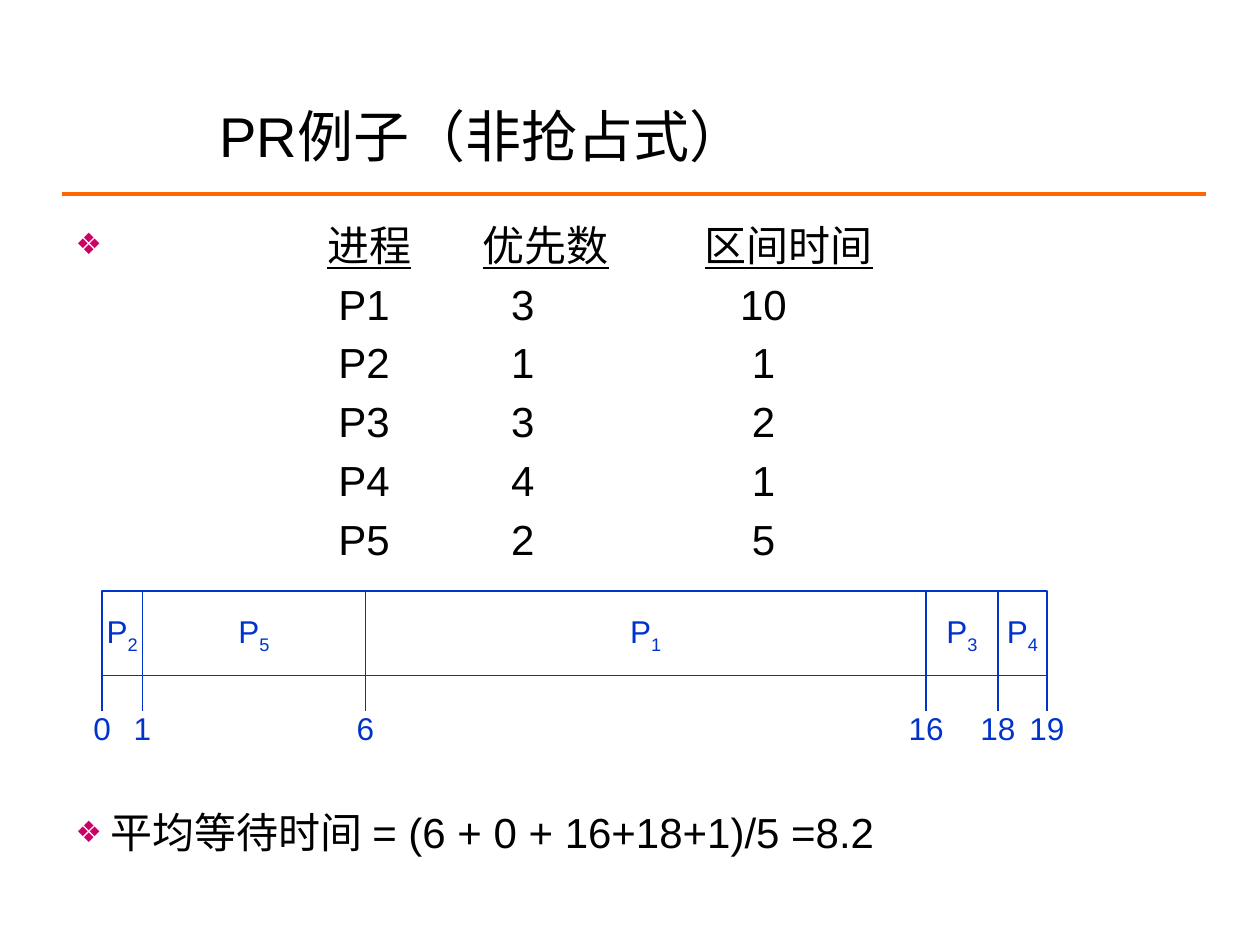
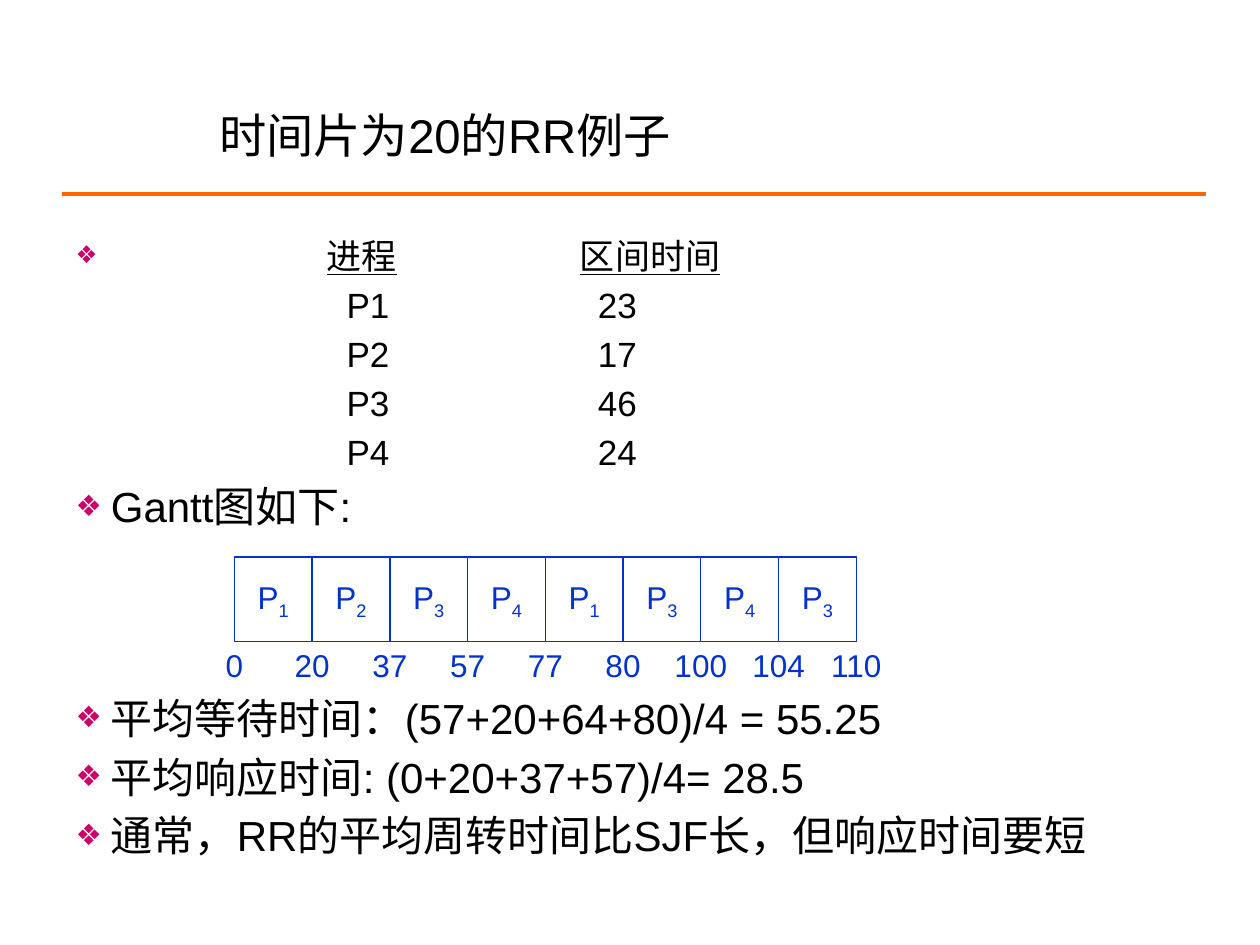
"""Build two slides on CPU scheduling: priority and round robin examples."""
from dataclasses import dataclass
from itertools import pairwise

from lxml.etree import SubElement
from pptx import Presentation
from pptx.dml.color import RGBColor
from pptx.enum.shapes import MSO_CONNECTOR, MSO_SHAPE
from pptx.enum.text import MSO_ANCHOR, MSO_AUTO_SIZE, PP_ALIGN
from pptx.oxml.ns import qn
from pptx.util import Emu, Inches, Pt


@dataclass(frozen=True)
class Theme:
    """Colours, font and type sizes shared by the slides."""
    ink: RGBColor = RGBColor(0, 0, 0)
    paper: RGBColor = RGBColor(255, 255, 255)
    rule: RGBColor = RGBColor(0xFF, 0x66, 0x00)
    gantt: RGBColor = RGBColor(0x00, 0x33, 0xCC)
    bullet: str = "CC0066"
    font: str = "Arial"
    text_size: int = 24
    gantt_size: int = 18
    thin: float = 0.75
    thick: float = 2.25


THEME = Theme()
COLUMNS, ROWS = 100, 75
UNIT = Inches(0.1)
BAR_HEIGHT = 6.7
LABEL_WIDTH, LABEL_HEIGHT = 8, 4
DIAMOND, BLANK = "❖", " "


def grid(*counts):
    """Turn counts of grid columns or rows into lengths."""
    return [Emu(round(count * UNIT)) for count in counts]


def format_runs(paragraph, size, color=THEME.ink):
    """Give every run of a paragraph the font, size and colour."""
    for run in paragraph.runs:
        run.font.name = THEME.font
        run.font.size = Pt(size)
        run.font.color.rgb = color


def add_line(slide, start, end, color, width):
    """Draw a straight line between two grid points."""
    line = slide.shapes.add_connector(MSO_CONNECTOR.STRAIGHT, *grid(*start, *end))
    line.line.color.rgb = color
    line.line.width = Pt(width)
    SubElement(line._element.spPr, qn("a:effectLst"))


def add_base_slide(deck, heading, heading_size, body_top, body_height):
    """Add a slide with title and rule, and return it with its body text."""
    slide = deck.slides.add_slide(deck.slide_layouts[1])
    title, body = slide.placeholders
    title.left, title.top, title.width, title.height = grid(16.4, 7.5, 72.6, 6.4)
    title.text_frame.text = heading
    title.text_frame.vertical_anchor = MSO_ANCHOR.MIDDLE
    title.text_frame.auto_size = MSO_AUTO_SIZE.NONE
    title.text_frame.paragraphs[0].alignment = PP_ALIGN.LEFT
    format_runs(title.text_frame.paragraphs[0], heading_size)
    body.left, body.top, body.width, body.height = grid(5, body_top, 90, body_height)
    body.text_frame.auto_size = MSO_AUTO_SIZE.NONE
    add_line(slide, (4.9, 15.4), (95.7, 15.4), THEME.rule, THEME.thick)
    return slide, body.text_frame


def set_layout(paragraph, hanging=0, bullet=DIAMOND, stops=()):
    """Set the indent, bullet and centred tab stops of a paragraph."""
    properties = paragraph._p.get_or_add_pPr()
    indent, = grid(hanging)
    properties.set("marL", str(indent))
    properties.set("indent", str(-indent))
    color = SubElement(properties, qn("a:buClr"))
    SubElement(color, qn("a:srgbClr"), val=THEME.bullet)
    SubElement(properties, qn("a:buSzPct"), val="70000")
    SubElement(properties, qn("a:buChar"), char=bullet)
    if stops:
        tabs = SubElement(properties, qn("a:tabLst"))
        for stop in grid(*stops):
            SubElement(tabs, qn("a:tab"), pos=str(stop), algn="ctr")


def add_process_list(body, headers, header_stops, processes, stops, size):
    """Write underlined headings and tabbed rows of process data."""
    heading = body.paragraphs[0]
    set_layout(heading, stops=header_stops)
    heading.space_before = Pt(0)
    for header in headers:
        heading.add_run().text = "\t"
        name = heading.add_run()
        name.text = header
        name.font.underline = True
    format_runs(heading, size)
    for process in processes:
        row = body.add_paragraph()
        set_layout(row, bullet=BLANK, stops=stops)
        row.text = "".join(f"\t{value}" for value in process)
        format_runs(row, size)


def add_bullet(body, text, gap=None):
    """Add a bulleted paragraph, with a gap in points above if given."""
    paragraph = body.add_paragraph()
    set_layout(paragraph, hanging=2.8)
    if gap:
        paragraph.space_before = Pt(gap)
    paragraph.text = text
    format_runs(paragraph, THEME.text_size)


def write_label(frame, text, subscript=""):
    """Write centred Gantt text with an optional subscript."""
    frame.word_wrap = False
    frame.vertical_anchor = MSO_ANCHOR.MIDDLE
    paragraph = frame.paragraphs[0]
    paragraph.text = text
    paragraph.alignment = PP_ALIGN.CENTER
    if subscript:
        index = paragraph.add_run()
        index.text = subscript
        index._r.get_or_add_rPr().set("baseline", "-25000")
    format_runs(paragraph, THEME.gantt_size, THEME.gantt)


def add_label(slide, center, top, text, subscript=""):
    """Place a Gantt label centred on a column."""
    label = slide.shapes.add_textbox(
        *grid(center - LABEL_WIDTH / 2, top, LABEL_WIDTH, LABEL_HEIGHT))
    write_label(label.text_frame, text, subscript)


def add_bar(slide, left, top, width):
    """Draw an outlined Gantt bar and return its text frame."""
    bar = slide.shapes.add_shape(
        MSO_SHAPE.RECTANGLE, *grid(left, top, width, BAR_HEIGHT))
    bar.shadow.inherit = False
    bar.fill.solid()
    bar.fill.fore_color.rgb = THEME.paper
    bar.line.color.rgb = THEME.gantt
    bar.line.width = Pt(THEME.thin)
    return bar.text_frame


def add_ticked_gantt(slide, top, order, ticks):
    """Draw one bar split by tick lines that reach down to their times."""
    edges = list(ticks.values())
    add_bar(slide, edges[0], top, edges[-1] - edges[0])
    for time, edge in ticks.items():
        add_line(slide, (edge, top), (edge, top + 9.5), THEME.gantt, THEME.thin)
        add_label(slide, edge, top + 8.9, str(time))
    label_top = top + (BAR_HEIGHT - LABEL_HEIGHT) / 2
    for number, (start, end) in zip(order, pairwise(edges)):
        add_label(slide, (start + end) / 2, label_top, "P", number)


def add_even_gantt(slide, left, top, cell, order, times):
    """Draw a row of equal cells with the times below their edges."""
    for place, number in enumerate(order):
        write_label(add_bar(slide, left + place * cell, top, cell), "P", number)
    for place, time in enumerate(times):
        add_label(slide, left + place * cell, top + 6.6, str(time))


def add_priority_slide(deck):
    """Add the non-preemptive priority example."""
    slide, body = add_base_slide(deck, "PR例子（非抢占式）", 32, 16.9, 54.6)
    add_process_list(
        body, ("进程", "优先数", "区间时间"), (23.3, 37.3, 56.6),
        [("P1", 3, 10), ("P2", 1, 1), ("P3", 3, 2), ("P4", 4, 1), ("P5", 2, 5)],
        (22.9, 35.5, 54.6), THEME.text_size)
    add_bullet(body, "平均等待时间 = (6 + 0 + 16+18+1)/5 =8.2", gap=139)
    add_ticked_gantt(slide, 46.9, "25134",
                     {0: 8.1, 1: 11.3, 6: 29, 16: 73.5, 18: 79.2, 19: 83.1})


def add_round_robin_slide(deck):
    """Add the round robin example with a time slice of 20."""
    slide, body = add_base_slide(deck, "时间片为20的RR例子", 27, 18.1, 53.3)
    add_process_list(
        body, ("进程", "区间时间"), (22.7, 45.6),
        [("P1", 23), ("P2", 17), ("P3", 46), ("P4", 24)], (23.2, 43), 20)
    add_bullet(body, "Gantt图如下:")
    add_bullet(body, "平均等待时间：(57+20+64+80)/4 = 55.25", gap=92)
    add_bullet(body, "平均响应时间: (0+20+37+57)/4= 28.5")
    add_bullet(body, "通常，RR的平均周转时间比SJF长，但响应时间要短")
    add_even_gantt(slide, 18.6, 44.2, 6.17, "12341343",
                   (0, 20, 37, 57, 77, 80, 100, 104, 110))


def main():
    """Build and save the deck."""
    deck = Presentation()
    deck.slide_width, deck.slide_height = grid(COLUMNS, ROWS)
    add_priority_slide(deck)
    add_round_robin_slide(deck)
    deck.save("out.pptx")


if __name__ == "__main__":
    main()
